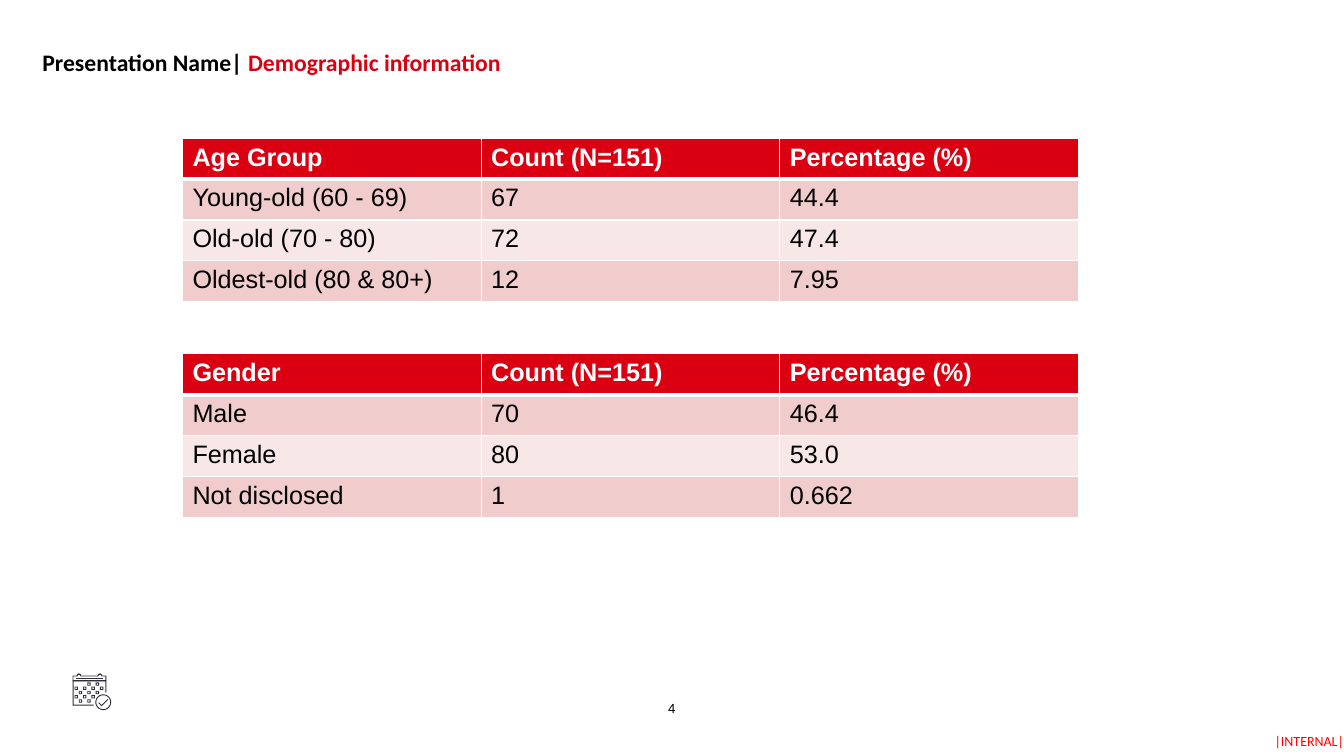
import dataclasses
import math

import lxml.etree
import pptx
import pptx.dml.color
import pptx.enum.text
import pptx.oxml.ns
import pptx.util

TITLE = [("Presentation Name| ", "black"), ("Demographic information", "red")]
PAGE_NUMBER = [("4", "black")]
MARKING = [("|INTERNAL|", "alert")]
TABLES = [
    [
        ("Age Group", "Count (N=151)", "Percentage (%)"),
        ("Young-old (60 - 69)", "67", "44.4"),
        ("Old-old (70 - 80)", "72", "47.4"),
        ("Oldest-old (80 & 80+)", "12", "7.95"),
    ],
    [
        ("Gender", "Count (N=151)", "Percentage (%)"),
        ("Male", "70", "46.4"),
        ("Female", "80", "53.0"),
        ("Not disclosed", "1", "0.662"),
    ],
]
CALENDAR_DAYS = [(3, 5), (0, 2, 4, 6), (1, 3, 5), (0, 2, 4), (1, 3)]


@dataclasses.dataclass(frozen=True)
class Theme:
    black: str = "000000"
    white: str = "FFFFFF"
    red: str = "DB0011"
    alert: str = "FF0000"
    icon: str = "2E2E38"
    bands: tuple = ("F1CCCC", "F8E7E7")
    heading_font: str = "Calibri"
    body_font: str = "Arial"
    title_size: float = 16.9
    table_size: float = 18
    number_size: float = 9.4
    marking_size: float = 10
    thin: float = 1
    thick: float = 3


THEME = Theme()
ALIGN = pptx.enum.text.PP_ALIGN
ANCHOR = pptx.enum.text.MSO_ANCHOR
GRID = pptx.util.Inches(0.1)
TABLE_LEFT, TABLE_TOP, TABLE_STEP = 18.1, 13.7, 21.4
COLUMN_WIDTH, ROW_HEIGHT = 29.63, 4.06


def units(*values):
    return [round(value * GRID) for value in values]


def rgb(code):
    return pptx.dml.color.RGBColor.from_string(code)


def add_span(para, words, font, size, color, bold=False):
    span = para.add_run()
    span.text = words
    span.font.name = font
    span.font.size = pptx.util.Pt(size)
    span.font.bold = bold
    span.font.color.rgb = rgb(color)


def add_text(page, place, spans, font, size, align, anchor, bold=False, wrap=True):
    box = page.shapes.add_textbox(*units(*place))
    frame = box.text_frame
    frame.word_wrap = wrap
    frame.vertical_anchor = anchor
    frame.margin_left = frame.margin_right = frame.margin_top = frame.margin_bottom = 0
    para = frame.paragraphs[0]
    para.alignment = align
    for words, color in spans:
        add_span(para, words, font, size, getattr(THEME, color), bold)
    return box


def set_borders(cell, top, bottom):
    properties = cell._tc.get_or_add_tcPr()
    widths = {"lnL": THEME.thin, "lnR": THEME.thin, "lnT": top, "lnB": bottom}
    for position, (side, width) in enumerate(widths.items()):
        line = lxml.etree.Element(pptx.oxml.ns.qn(f"a:{side}"), w=str(pptx.util.Pt(width)))
        fill = lxml.etree.SubElement(line, pptx.oxml.ns.qn("a:solidFill"))
        lxml.etree.SubElement(fill, pptx.oxml.ns.qn("a:srgbClr"), val=THEME.white)
        properties.insert(position, line)


def add_counts(page, top, rows):
    columns = len(rows[0])
    place = units(TABLE_LEFT, top, COLUMN_WIDTH * columns, ROW_HEIGHT * len(rows))
    table = page.shapes.add_table(len(rows), columns, *place).table
    table.horz_banding = False
    for row_index, row in enumerate(rows):
        header = row_index == 0
        for column_index, words in enumerate(row):
            cell = table.cell(row_index, column_index)
            cell.fill.solid()
            cell.fill.fore_color.rgb = rgb(THEME.red if header else THEME.bands[(row_index - 1) % 2])
            set_borders(
                cell,
                THEME.thick if row_index == 1 else THEME.thin,
                THEME.thick if header else THEME.thin,
            )
            color = THEME.white if header else THEME.black
            add_span(cell.text_frame.paragraphs[0], words, THEME.body_font, THEME.table_size, color, header)


def add_outline(page, *contours):
    builder = None
    for contour in contours:
        points = [units(*point) for point in contour]
        if builder is None:
            builder = page.shapes.build_freeform(*points[0])
        else:
            builder.move_to(*points[0])
        builder.add_line_segments(points[1:], close=True)
    shape = builder.convert_to_shape()
    shape.shadow.inherit = False
    shape.fill.solid()
    shape.fill.fore_color.rgb = rgb(THEME.icon)
    shape.line.fill.background()


def rectangle(left, top, width, height, inset=0):
    right, bottom = left + width - inset, top + height - inset
    left, top = left + inset, top + inset
    return [(left, top), (right, top), (right, bottom), (left, bottom)]


def arc(x, y, radius, start, end, steps):
    angles = [math.radians(start + (end - start) * step / steps) for step in range(steps + 1)]
    return [(x + radius * math.cos(angle), y + radius * math.sin(angle)) for angle in angles]


def binder(left, right, top, bottom, radius):
    rings = [point for x in (7.83, 9.91) for point in arc(x, top, radius, 180, 360, 10)]
    return [(left, bottom), (left, top), *rings, (right, top), (right, bottom)]


def add_calendar(page):
    add_outline(page, [
        (9.3, 70), (7.2, 70), (7.2, 67.5), (10.55, 67.5), (10.55, 68.7), (10.45, 68.7),
        (10.45, 67.6), (7.3, 67.6), (7.3, 69.9), (9.3, 69.9),
    ])
    for row_index, columns in enumerate(CALENDAR_DAYS):
        for column in columns:
            day = (7.4 + 0.42 * column, 67.7 + 0.42 * row_index, 0.33, 0.33)
            add_outline(page, rectangle(*day), rectangle(*day, inset=0.09)[::-1])
    add_outline(
        page,
        binder(7.2, 10.55, 67.03, 67.57, 0.22),
        binder(7.29, 10.46, 67.1, 67.48, 0.15)[::-1],
    )
    add_outline(page, rectangle(7.5, 67.25, 2.75, 0.09))
    add_outline(page, arc(10.25, 69.67, 0.78, 0, 360, 48), arc(10.25, 69.67, 0.69, 360, 0, 48))
    add_outline(page, [
        (10.09, 70.07), (9.76, 69.74), (9.82, 69.68), (10.09, 69.95), (10.67, 69.37), (10.73, 69.43),
    ])


def main():
    deck = pptx.Presentation()
    deck.slide_width, deck.slide_height = units(133.33, 75)
    page = deck.slides.add_slide(deck.slide_layouts[6])
    add_text(page, (65.6, 69.3, 2.1, 2), PAGE_NUMBER, THEME.body_font, THEME.number_size,
             ALIGN.CENTER, ANCHOR.MIDDLE, wrap=False)
    add_text(page, (123.33, 72.1, 10, 2.9), MARKING, THEME.heading_font, THEME.marking_size,
             ALIGN.RIGHT, ANCHOR.MIDDLE)
    title = add_text(page, (4.2, 5.1, 62, 3.4), TITLE, THEME.heading_font, THEME.title_size,
                     ALIGN.LEFT, ANCHOR.TOP, bold=True)
    title.text_frame.paragraphs[0].line_spacing = 0.9
    add_calendar(page)
    for index, rows in enumerate(TABLES):
        add_counts(page, TABLE_TOP + TABLE_STEP * index, rows)
    deck.save("out.pptx")


if __name__ == "__main__":
    main()
